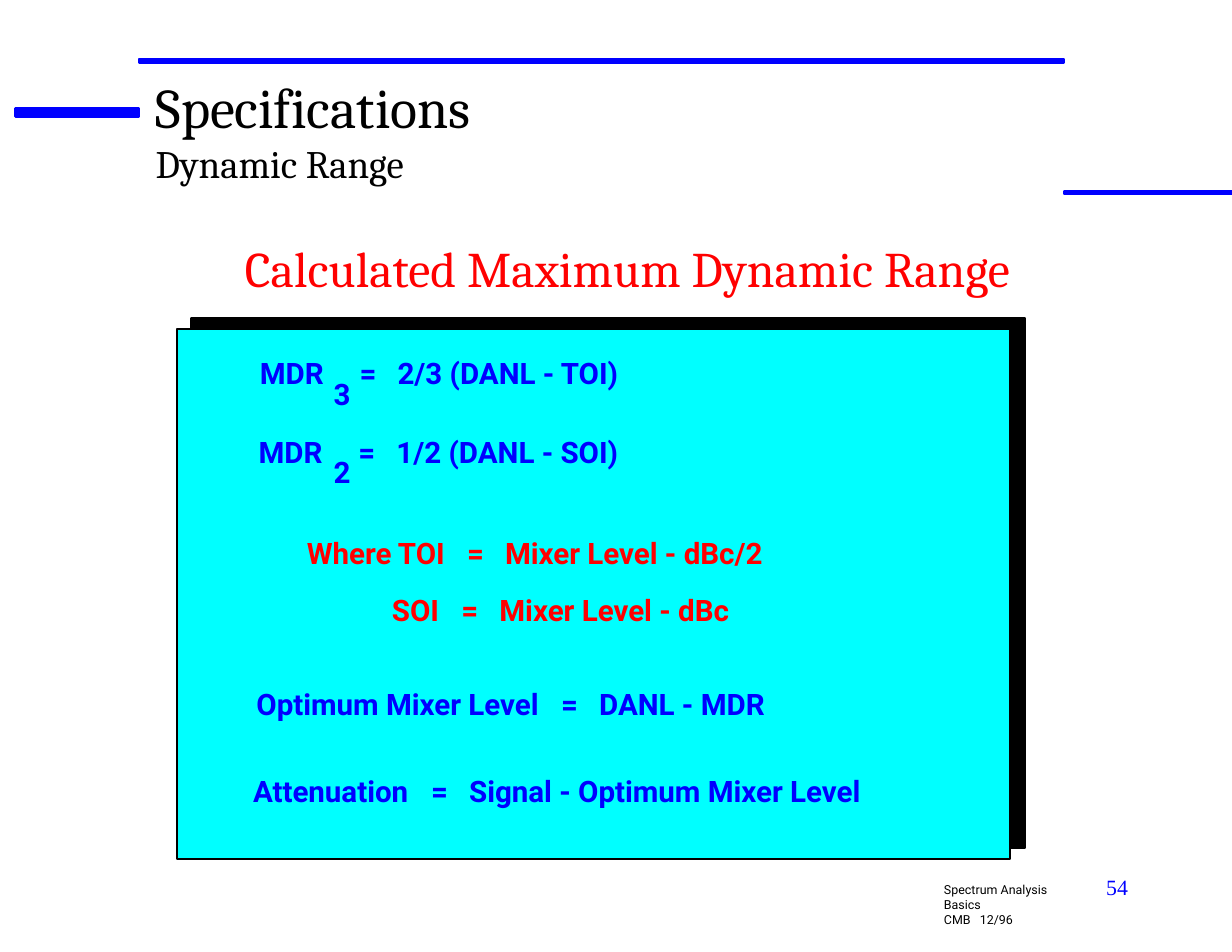
from lxml import etree
from pptx import Presentation
from pptx.dml.color import RGBColor
from pptx.enum.shapes import MSO_SHAPE
from pptx.enum.text import MSO_ANCHOR, PP_ALIGN
from pptx.oxml.ns import qn
from pptx.util import Inches, Pt

BLUE = RGBColor(0, 0, 255)
RED = RGBColor(255, 0, 0)
CYAN = RGBColor(0, 255, 255)
BLACK = RGBColor(0, 0, 0)
RECT = MSO_SHAPE.RECTANGLE
TOP, BOTTOM = MSO_ANCHOR.TOP, MSO_ANCHOR.BOTTOM
LEFT, CENTER, RIGHT = PP_ALIGN.LEFT, PP_ALIGN.CENTER, PP_ALIGN.RIGHT
SERIF, SANS, TIMES = "Cambria", "Roboto", "Times New Roman"

BARS = [
    (0.14, 0.97, 1.1, 0.07),
    (1.24, 0.53, 8.26, 0.03),
    (9.5, 1.71, 1.5, 0.02),
]
ROWS = [
    ("MDR", "2/3 (DANL - TOI)", 2.32, 2.87, 3.21, BLUE),
    ("MDR", "1/2 (DANL - SOI)", 2.31, 3.57, 3.2, BLUE),
    ("Where TOI", "Mixer Level - dBc/2", 2.74, 4.47, 4.17, RED),
    ("SOI", "Mixer Level - dBc", 3.5, 4.98, 4.12, RED),
    ("Optimum Mixer Level", "DANL - MDR", 2.29, 5.82, 5.01, BLUE),
    ("Attenuation", "Signal - Optimum Mixer Level", 2.26, 6.6, 3.85, BLUE),
]
SUBS = [("3", 3.36), ("2", 4.06)]
GAP = 0.34


def add_box(slide, at, fill, line):
    box = slide.shapes.add_shape(RECT, *map(Inches, at))
    box.shadow.inherit = False
    box.fill.solid()
    box.fill.fore_color.rgb = fill
    box.line.color.rgb = line
    box.line.width = Pt(1.5)


def set_tabs(para, stops):
    tabs = etree.SubElement(para._p.get_or_add_pPr(), qn("a:tabLst"))
    for stop in stops:
        etree.SubElement(tabs, qn("a:tab"), pos=str(Inches(stop)), algn="l")


def add_text(slide, text, at, sizes=(19,), font=SANS, color=BLACK, bold=False,
             align=LEFT, anchor=TOP, inset=(0, 0), tabs=()):
    frame = slide.shapes.add_textbox(*map(Inches, at)).text_frame
    frame.word_wrap = True
    frame.vertical_anchor = anchor
    frame.margin_left = frame.margin_right = Inches(inset[0])
    frame.margin_top = frame.margin_bottom = Inches(inset[1])
    frame.text = text
    for i, para in enumerate(frame.paragraphs):
        para.alignment = align
        if tabs:
            set_tabs(para, tabs)
        for run in para.runs:
            run.font.name = font
            run.font.size = Pt(sizes[min(i, len(sizes) - 1)])
            run.font.bold = bold
            run.font.color.rgb = color


def add_row(slide, name, value, left, top, equals, color):
    stop = equals - left
    add_text(slide, f"{name}\t=\t{value}", (left, top, 6.5, 0.62),
             color=color, bold=True, anchor=BOTTOM, tabs=(stop, stop + GAP))


def main():
    deck = Presentation()
    deck.slide_width, deck.slide_height = Inches(11), Inches(8.5)
    slide = deck.slides.add_slide(deck.slide_layouts[6])

    for bar in BARS:
        add_box(slide, bar, BLUE, BLUE)
    add_text(slide, "Spectrum Analysis Basics\nCMB\t12/96", (8.33, 7.83, 1.36, 0.37),
             sizes=(8,), inset=(0.1, 0.05), tabs=(0.32,))
    add_text(slide, "54", (7.92, 7.75, 2.25, 0.58), sizes=(14,), font=TIMES,
             color=BLUE, align=RIGHT, inset=(0.1, 0.05))
    add_text(slide, "Specifications\nDynamic Range", (1.39, 0.65, 7.86, 1),
             sizes=(36, 25), font=SERIF)

    add_box(slide, (1.71, 2.84, 7.44, 4.73), BLACK, BLACK)
    add_box(slide, (1.58, 2.94, 7.44, 4.73), CYAN, BLACK)
    for row in ROWS:
        add_row(slide, *row)
    for digit, top in SUBS:
        add_text(slide, digit, (2.98, top, 0.24, 0.31), color=BLUE, bold=True,
                 anchor=BOTTOM)
    add_text(slide, "Calculated Maximum Dynamic Range", (1.66, 2.12, 7.89, 0.53),
             sizes=(32,), font=SERIF, color=RED, align=CENTER)
    deck.save("out.pptx")


if __name__ == "__main__":
    main()
